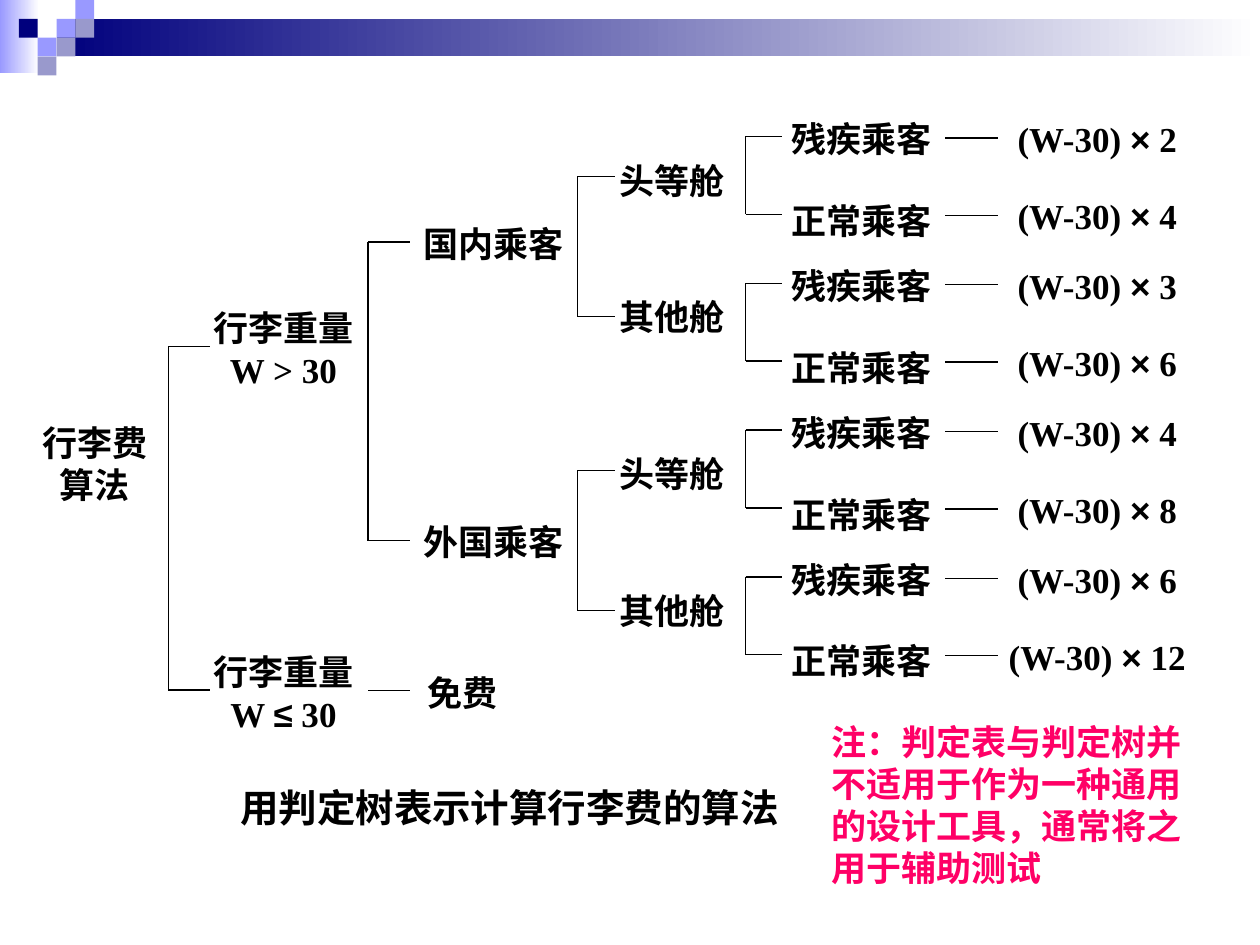
from dataclasses import dataclass
from itertools import groupby

from lxml import etree
from pptx import Presentation
from pptx.dml.color import RGBColor
from pptx.enum.shapes import MSO_CONNECTOR, MSO_SHAPE
from pptx.enum.text import MSO_AUTO_SIZE, PP_ALIGN
from pptx.oxml.ns import qn
from pptx.util import Cm, Pt

RECTANGLE = MSO_SHAPE.RECTANGLE
STRAIGHT = MSO_CONNECTOR.STRAIGHT
CENTER, LEFT = PP_ALIGN.CENTER, PP_ALIGN.LEFT
GROW, FIXED = MSO_AUTO_SIZE.SHAPE_TO_FIT_TEXT, MSO_AUTO_SIZE.NONE


@dataclass(frozen=True)
class Theme:
    ink: str = "000000"
    note: str = "FF0066"
    navy: str = "00007D"
    periwinkle: str = "9999FF"
    dusk: str = "9999CC"
    white: str = "FFFFFF"
    font: str = "Times New Roman"
    symbol_font: str = "Arial"
    body: int = 20
    caption: int = 22
    line: float = 0.75


THEME = Theme()
SYMBOLS = "≤×"
NODE_HEIGHT = 0.91
NODE_WIDTH = 2.97
TILE = 0.38

# Each block is one cabin with its two kinds of passenger.
BLOCK_TOP, BLOCK_STEP = 2.34, 2.96
FEES = [(2, 4), (3, 6), (4, 8), (6, 12)]
HEALTH = ("残疾乘客", "正常乘客")
CABINS = ("头等舱", "其他舱")
PASSENGERS = ("国内乘客", "外国乘客")


def add_text(page, text, left, top, width, height=NODE_HEIGHT, size=THEME.body,
             color=THEME.ink, align=CENTER, inset=(0.05, 0.03), fit=GROW):
    box = page.shapes.add_textbox(Cm(left), Cm(top), Cm(width), Cm(height))
    frame = box.text_frame
    frame.word_wrap = True
    frame.auto_size = fit
    frame.margin_left = frame.margin_right = Cm(inset[0])
    frame.margin_top = frame.margin_bottom = Cm(inset[1])
    para = frame.paragraphs[0]
    para.alignment = align
    for is_symbol, letters in groupby(text, lambda letter: letter in SYMBOLS):
        span = para.add_run()
        span.text = "".join(letters)
        span.font.name = THEME.symbol_font if is_symbol else THEME.font
        span.font.size = Pt(size)
        span.font.bold = True
        span.font.color.rgb = RGBColor.from_string(color)


def add_line(page, x1, y1, x2, y2):
    line = page.shapes.add_connector(STRAIGHT, Cm(x1), Cm(y1), Cm(x2), Cm(y2))
    line.line.color.rgb = RGBColor.from_string(THEME.ink)
    line.line.width = Pt(THEME.line)
    etree.SubElement(line._element.spPr, qn("a:effectLst"))


def add_bracket(page, left, right, top, bottom):
    add_line(page, left, top, right, top)
    add_line(page, left, bottom, right, bottom)
    add_line(page, left, top, left, bottom)


def add_bar(page, left, top, width, height, color, fade=False):
    """Draw a borderless rectangle, fading to white rightwards if asked."""
    bar = page.shapes.add_shape(RECTANGLE, Cm(left), Cm(top), Cm(width), Cm(height))
    bar.shadow.inherit = False
    bar.line.fill.background()
    if fade:
        bar.fill.gradient()
        bar.fill.gradient_angle = 0
        for stop, shade in zip(bar.fill.gradient_stops, (color, THEME.white)):
            stop.color.rgb = RGBColor.from_string(shade)
    else:
        bar.fill.solid()
        bar.fill.fore_color.rgb = RGBColor.from_string(color)


def add_header(page):
    add_bar(page, 0, 0, 0.79, 1.47, THEME.periwinkle, fade=True)
    add_bar(page, 1.14, 0.38, 24.26, 0.76, THEME.navy, fade=True)
    tiles = [(3, 1, THEME.periwinkle), (4, 0, THEME.periwinkle), (4, 1, THEME.dusk),
             (2, 2, THEME.periwinkle), (1, 1, THEME.navy), (3, 2, THEME.dusk),
             (2, 3, THEME.dusk)]
    for column, row, color in tiles:
        add_bar(page, column * TILE, row * TILE, TILE, TILE, color)


def add_weight_branches(page):
    add_text(page, "行李费算法", 0.64, 8.46, 2.54, 1.75)
    add_bracket(page, 3.39, 4.23, 6.99, 13.91)
    add_text(page, "行李重量W > 30", 4.23, 6.15, NODE_WIDTH, 1.75)
    add_text(page, "行李重量W ≤ 30", 4.23, 13.08, NODE_WIDTH, 1.75)
    add_line(page, 7.42, 13.92, 8.26, 13.92)
    add_text(page, "免费", 8.05, 13.51, 2.54)


def add_passenger_branches(page):
    add_bracket(page, 7.42, 8.26, 4.88, 10.9)
    for index, passenger in enumerate(PASSENGERS):
        add_text(page, passenger, 8.47, 4.45 + index * 6.02, NODE_WIDTH)
        top = BLOCK_TOP + index * 2 * BLOCK_STEP
        add_bracket(page, 11.64, 12.39, top + 1.22, top + 4.04)
        for row, cabin in enumerate(CABINS):
            add_text(page, cabin, 12.07, top + 0.84 + row * 2.75, NODE_WIDTH)


def add_fee_block(page, top, factors):
    add_bracket(page, 15.03, 15.77, top + 0.41, top + 1.98)
    for row, (health, factor) in enumerate(zip(HEALTH, factors)):
        add_text(page, health, 15.88, top + row * 1.65, NODE_WIDTH)
        fee_top = top + row * 1.56
        add_line(page, 19.05, fee_top + 0.44, 20.11, fee_top + 0.44)
        add_text(page, f"(W-30) × {factor}", 20.11, fee_top, 4.02, fit=FIXED)


def main():
    deck = Presentation()
    deck.slide_width, deck.slide_height = Cm(25.4), Cm(19.05)
    page = deck.slides.add_slide(deck.slide_layouts[6])
    add_header(page)
    add_weight_branches(page)
    add_passenger_branches(page)
    for index, factors in enumerate(FEES):
        add_fee_block(page, BLOCK_TOP + index * BLOCK_STEP, factors)
    add_text(page, "用判定树表示计算行李费的算法", 3.39, 15.67, 13.76, 1.19,
             size=THEME.caption, inset=(0.25, 0.13))
    add_text(page, "注：判定表与判定树并不适用于作为一种通用的设计工具，通常将之用于辅助测试",
             16.51, 14.4, 8.04, 3.66, color=THEME.note, align=LEFT, inset=(0.25, 0.13))
    deck.save("out.pptx")


if __name__ == "__main__":
    main()
